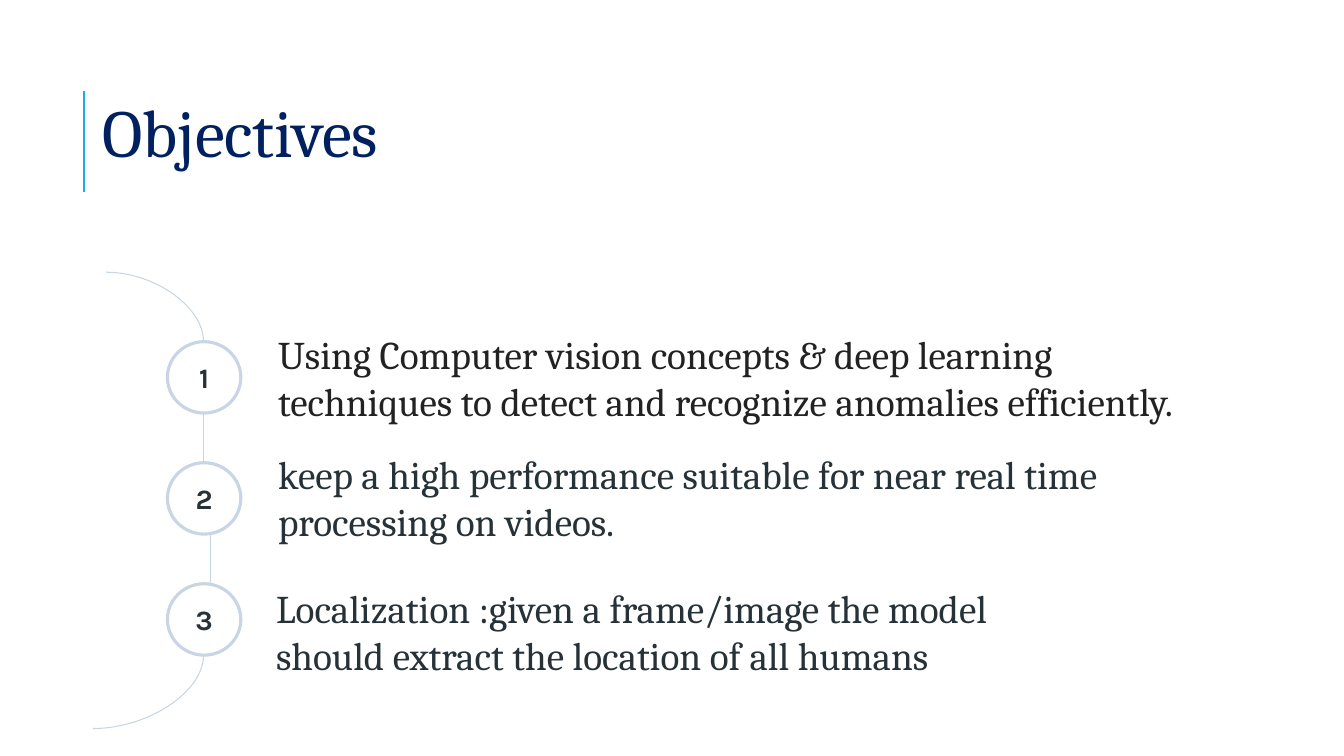
from lxml import etree
from pptx import Presentation
from pptx import util as u
from pptx.dml.color import RGBColor
from pptx.enum import shapes, text
from pptx.oxml.ns import qn

TITLE = "Objectives"
# wording, colour name, then left, top, width and height of the text in cm
OBJECTIVES = [
    ("Using Computer vision concepts & deep learning techniques to detect "
     "and recognize anomalies efficiently.", "black", (6.76, 8.08, 23.95, 2.9)),
    ("keep a high performance suitable for near real time processing on videos.",
     "slate", (6.76, 11.1, 22.66, 2.9)),
    ("Localization :given a frame/image the model should extract the location "
     "of all humans", "slate", (6.71, 14.48, 20.47, 4.11)),
]
COLORS = {"accent": "1CADE4", "navy": "002060", "ring": "C8D5E4",
          "slate": "263238", "black": "222222"}

RING_LEFT, RING_TOP, RING_WIDTH, RING_HEIGHT = 4.22, 8.61, 1.85, 1.8
RING_PITCH = 3.05
AXIS = 5.13
LINK_XS = [AXIS, 5.31]
ARC_STARTS = [(2.67, 6.86), (2.34, 18.36)]


def color(name):
    return RGBColor.from_string(COLORS[name])


def add_line(page, start, end, name="ring", width=0.75, curved=False):
    """Draw a straight line, or a quarter arc that leaves start horizontally."""
    kind = shapes.MSO_CONNECTOR.CURVE if curved else shapes.MSO_CONNECTOR.STRAIGHT
    line = page.shapes.add_connector(kind, *map(u.Cm, start + end))
    line.line.color.rgb = color(name)
    line.line.width = u.Pt(width)
    properties = line._element.spPr
    if curved:
        properties.find(qn("a:prstGeom")).set("prst", "curvedConnector2")
    etree.SubElement(properties, qn("a:effectLst"))


def write(shape, wording, size, font, name, margin=0.25):
    frame = shape.text_frame
    frame.word_wrap = True
    frame.margin_left = frame.margin_right = u.Cm(0.25)
    frame.margin_top = frame.margin_bottom = u.Cm(margin)
    para = frame.paragraphs[0]
    para.text = wording
    para.font.size = u.Pt(size)
    para.font.name = font
    para.font.color.rgb = color(name)
    return frame, para


def add_title(page):
    add_line(page, (2.12, 4.83), (2.12, 2.29), "accent", 1.5)
    box = page.shapes.add_textbox(*map(u.Cm, (2.34, 1.4, 27, 4.17)))
    frame, para = write(box, TITLE, 48, "Cambria", "navy", margin=0.13)
    frame.vertical_anchor = text.MSO_ANCHOR.MIDDLE
    para.line_spacing = 0.8


def add_ring(page, number, top):
    ring = page.shapes.add_shape(
        shapes.MSO_SHAPE.OVAL,
        *map(u.Cm, (RING_LEFT, top, RING_WIDTH, RING_HEIGHT)))
    ring.shadow.inherit = False
    ring.fill.background()
    ring.line.color.rgb = color("ring")
    ring.line.width = u.Pt(2.25)
    frame, para = write(ring, str(number), 20, "Karla", "slate")
    frame.vertical_anchor = text.MSO_ANCHOR.MIDDLE
    para.alignment = text.PP_ALIGN.CENTER
    para.font.bold = True


def main():
    deck = Presentation()
    deck.slide_width, deck.slide_height = u.Cm(33.87), u.Cm(19.05)
    page = deck.slides.add_slide(deck.slide_layouts[6])
    add_title(page)

    tops = [RING_TOP + i * RING_PITCH for i in range(len(OBJECTIVES))]
    arc_ends = [(AXIS, tops[0]), (AXIS, tops[-1] + RING_HEIGHT)]
    for start, end in zip(ARC_STARTS, arc_ends):
        add_line(page, start, end, curved=True)
    for x, top, next_top in zip(LINK_XS, tops, tops[1:]):
        add_line(page, (x, top + RING_HEIGHT), (x, next_top))

    for number, (top, objective) in enumerate(zip(tops, OBJECTIVES), 1):
        wording, name, place = objective
        add_ring(page, number, top)
        box = page.shapes.add_textbox(*map(u.Cm, place))
        frame, _ = write(box, wording, 28, "Cambria", name)
        frame.auto_size = text.MSO_AUTO_SIZE.SHAPE_TO_FIT_TEXT

    deck.save("out.pptx")


if __name__ == "__main__":
    main()
